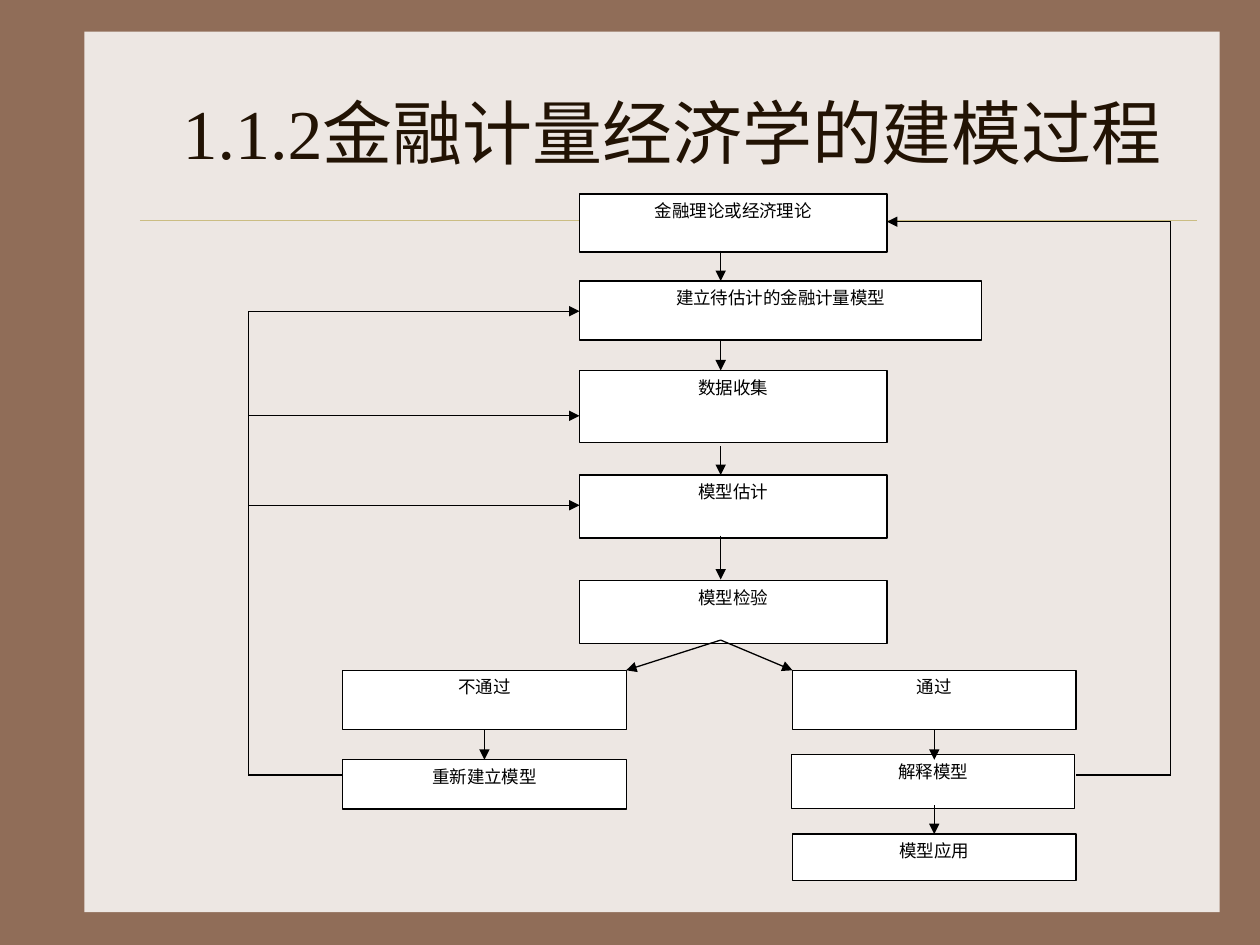
import dataclasses

import lxml.etree
import pptx
import pptx.dml.color
import pptx.enum.shapes
import pptx.enum.text
import pptx.oxml.ns
import pptx.util

Inches, Pt = pptx.util.Inches, pptx.util.Pt
Align, Anchor = pptx.enum.text.PP_ALIGN, pptx.enum.text.MSO_ANCHOR
RECT = pptx.enum.shapes.MSO_SHAPE.RECTANGLE
STRAIGHT = pptx.enum.shapes.MSO_CONNECTOR.STRAIGHT


@dataclasses.dataclass(frozen=True)
class Theme:
    back: str = "906D58"
    panel: str = "EDE7E3"
    rule: str = "CBBD83"
    title: str = "221304"
    ink: str = "000000"
    paper: str = "FFFFFF"
    font: str = "Times New Roman"
    big: float = 40
    small: float = 10
    thin: float = 0.25
    line: float = 0.75


THEME = Theme()


def color(code):
    return pptx.dml.color.RGBColor.from_string(code)


def apply(item, form):
    for name, value in form.items():
        setattr(item, name, value)


def paint(fill, code):
    fill.solid()
    fill.fore_color.rgb = color(code)


def write(shape, text, size, ink, anchor, before=0):
    frame = shape.text_frame
    apply(frame, {"word_wrap": True, "vertical_anchor": anchor})
    para = frame.paragraphs[0]
    apply(para, {"alignment": Align.CENTER, "space_before": Pt(before)})
    run = para.add_run()
    run.text = text
    apply(run.font, {"name": THEME.font, "size": Pt(size)})
    run.font.color.rgb = color(ink)


def block(slide, left, top, width, height, fill, edge=None):
    shape = slide.shapes.add_shape(
        RECT, Inches(left), Inches(top), Inches(width), Inches(height))
    shape.shadow.inherit = False
    paint(shape.fill, fill)
    if edge:
        paint(shape.line.fill, edge)
        shape.line.width = Pt(THEME.line)
    else:
        shape.line.fill.background()
    return shape


def link(slide, start, end, head=False, ink=THEME.ink, width=THEME.line):
    wire = slide.shapes.add_connector(
        STRAIGHT, *[Inches(value) for value in (*start, *end)])
    paint(wire.line.fill, ink)
    wire.line.width = Pt(width)
    tag = pptx.oxml.ns.qn
    if head:
        edge = wire.line._get_or_add_ln()
        lxml.etree.SubElement(edge, tag("a:tailEnd"), type="triangle")
    lxml.etree.SubElement(wire._element.spPr, tag("a:effectLst"))


def frame(slide, left, top, width, height):
    """Panel on the coloured background, with the rule below the title."""
    paint(slide.background.fill, THEME.back)
    block(slide, left, top, width, height, THEME.panel)
    y = top + 1.5
    link(slide, (left + 0.44, y), (left + width - 0.18, y),
         ink=THEME.rule, width=THEME.thin)


def heading(slide, left, top, width, height):
    shape = slide.shapes.add_textbox(
        Inches(left), Inches(top), Inches(width), Inches(height))
    write(shape, "1.1.2金融计量经济学的建模过程", THEME.big, THEME.title,
          Anchor.MIDDLE)


def flow(slide, left, top, width, height):
    """Flow chart; the loop lines run along the sides of its box."""
    right, base = left + width, top + height
    main, wide = left + 2.63, 2.44
    stem = left + 3.75
    fail, good, side = left + 0.75, right - 3, 2.25

    # Steps: text, left, top, width, height
    steps = [
        ("金融理论或经济理论", main, top, wide, 0.46),
        ("建立待估计的金融计量模型", main, top + 0.69, 3.19, 0.47),
        ("数据收集", main, top + 1.4, wide, 0.57),
        ("模型估计", main, top + 2.23, wide, 0.5),
        ("模型检验", main, top + 3.07, wide, 0.5),
        ("不通过", fail, top + 3.78, side, 0.47),
        ("通过", good, top + 3.78, side, 0.47),
        ("重新建立模型", fail, top + 4.49, side, 0.39),
        ("解释模型", good - 0.01, top + 4.45, side, 0.43),
        ("模型应用", good, base - 0.37, side, 0.37),
    ]
    for text, *place in steps:
        shape = block(slide, *place, THEME.paper, THEME.ink)
        write(shape, text, THEME.small, THEME.ink, Anchor.TOP, 6.2)

    # Downward arrows: centre, start, length
    for x, y, size in [
        (stem, 0.45, 0.24), (stem, 1.17, 0.23), (stem, 2, 0.23),
        (stem, 2.71, 0.35), (fail + side / 2, 4.25, 0.24),
        (good + side / 2, 4.25, 0.24), (good + side / 2, 4.85, 0.23),
    ]:
        link(slide, (x, top + y), (x, top + y + size), True)

    # Branches after the test
    for x in (fail + side, good):
        link(slide, (stem, top + 3.54), (x, top + 3.78), True)

    # Left loop back to three steps
    low = top + 4.61
    link(slide, (fail, low), (left, low))
    link(slide, (left, low), (left, top + 0.93))
    for y in (0.93, 1.76, 2.47):
        link(slide, (left, top + y), (main, top + y), True)

    # Right loop back to the theory
    high = top + 0.22
    link(slide, (good + side, low), (right, low))
    link(slide, (right, low), (right, high))
    link(slide, (right, high), (main + wide, high), True)


def main():
    deck = pptx.Presentation()
    apply(deck, {"slide_width": Inches(10), "slide_height": Inches(7.5)})
    slide = deck.slides.add_slide(deck.slide_layouts[6])
    frame(slide, 0.67, 0.25, 9.01, 6.99)
    heading(slide, 1.17, 0.42, 8.33, 1.25)
    flow(slide, 1.97, 1.54, 7.32, 5.45)
    deck.save("out.pptx")


if __name__ == "__main__":
    main()
